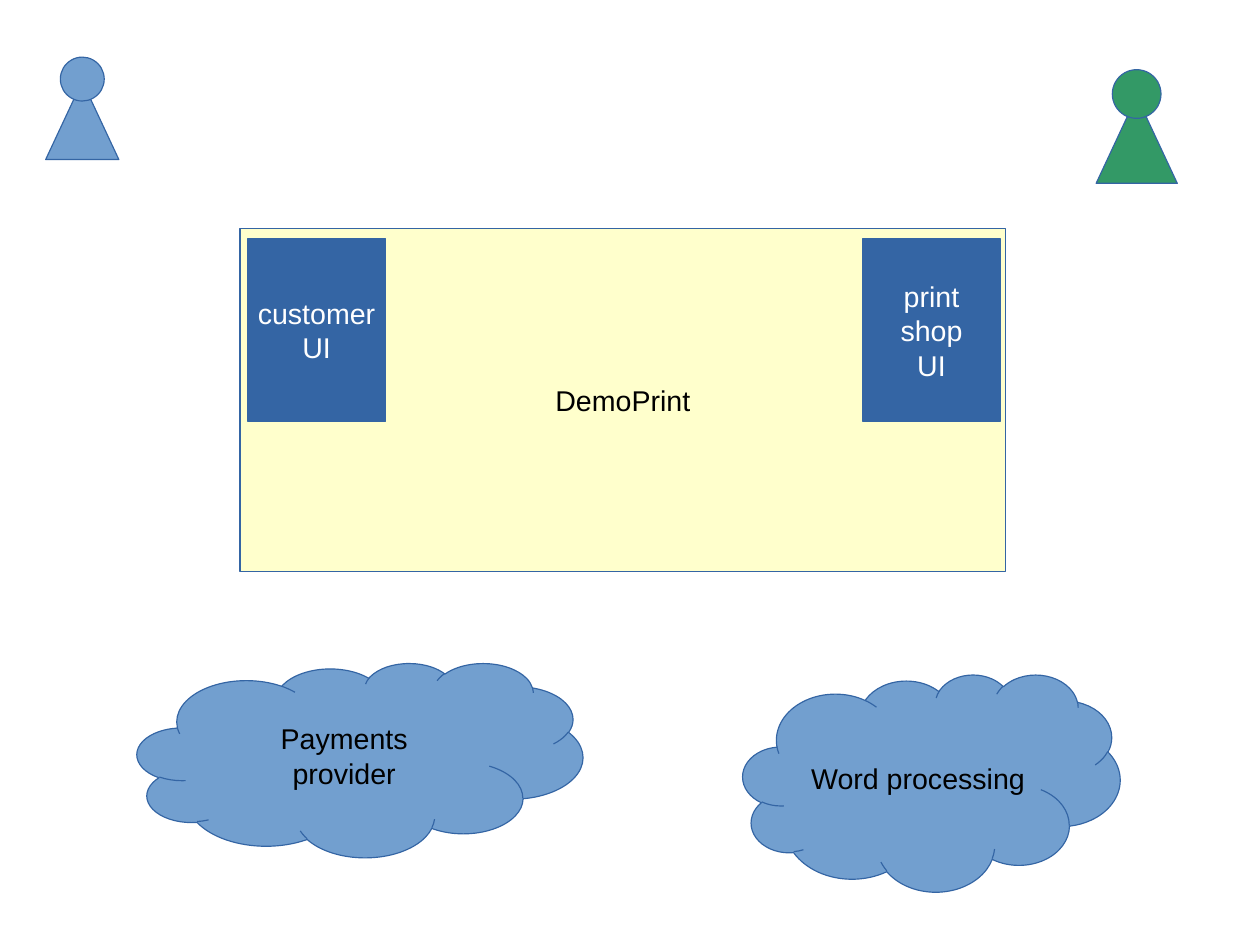
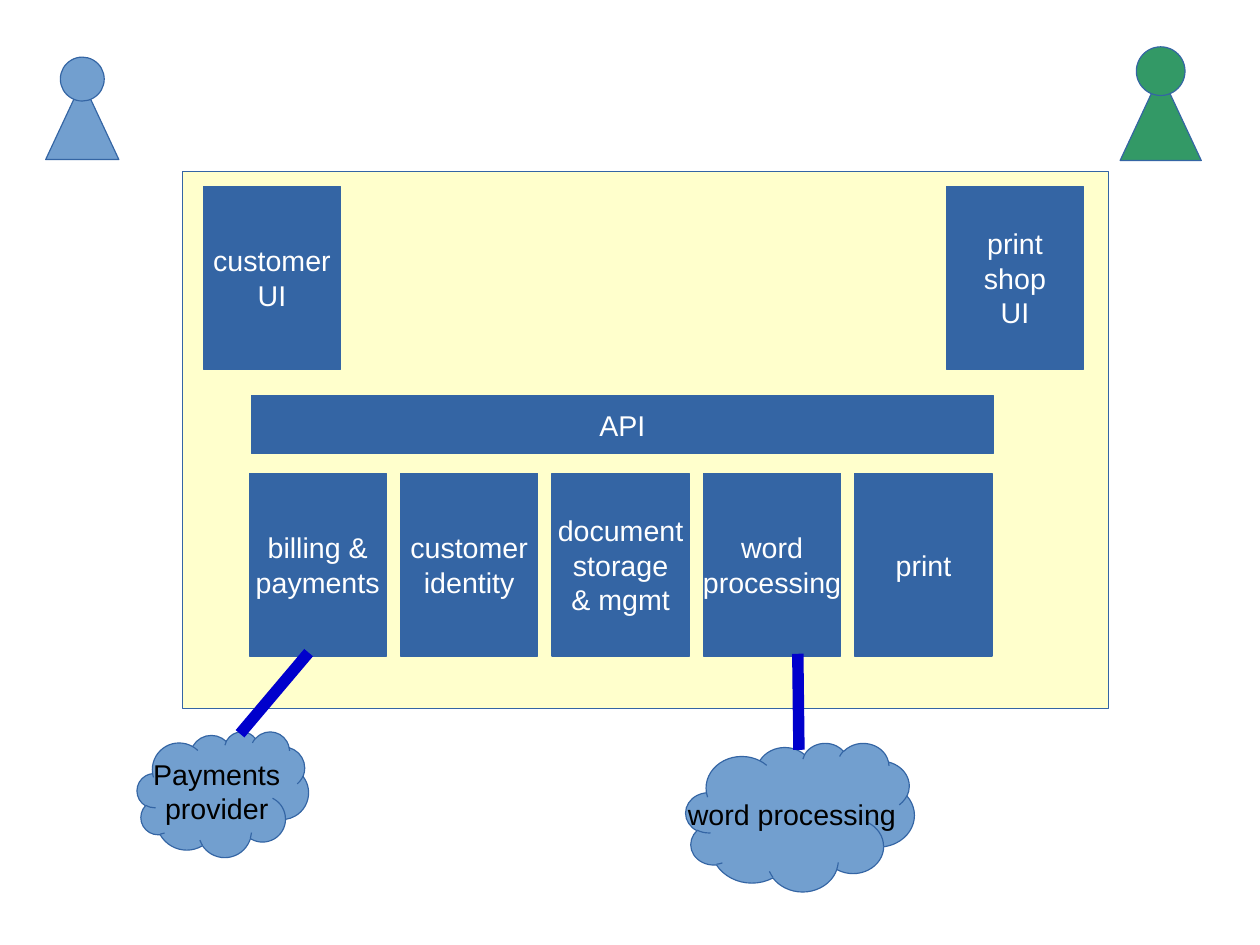
"""Build two system context slides: the outer view and the inner components."""
import lxml.etree
import pptx
import pptx.dml.color
import pptx.enum.shapes
import pptx.enum.text
import pptx.oxml.ns
import pptx.util

RGBColor = pptx.dml.color.RGBColor
SHAPES = pptx.enum.shapes.MSO_SHAPE

BLACK = RGBColor(0x00, 0x00, 0x00)
WHITE = RGBColor(0xFF, 0xFF, 0xFF)
SKY = RGBColor(0x72, 0x9F, 0xCF)
BLUE = RGBColor(0x34, 0x65, 0xA4)
LINK_BLUE = RGBColor(0x00, 0x00, 0xCC)
GREEN = RGBColor(0x33, 0x99, 0x66)
CREAM = RGBColor(0xFF, 0xFF, 0xCC)

CELL = 0.1
BOX_WIDTH, BOX_HEIGHT = 12, 16
SERVICE_STEP = 13.25
SERVICES = (
    "billing &\npayments",
    "customer\nidentity",
    "document\nstorage\n& mgmt",
    "word\nprocessing",
    "print",
)

FRAME_FORMAT = {
    "word_wrap": False,
    "vertical_anchor": pptx.enum.text.MSO_ANCHOR.MIDDLE,
}
FONT_FORMAT = {"name": "Arial", "size": pptx.util.Pt(18)}


def cells(count):
    """Return the length of a number of grid cells."""
    return pptx.util.Inches(count * CELL)


def apply_format(target, values):
    """Set each named attribute on the target."""
    for name, value in values.items():
        setattr(target, name, value)


def add_figure(shapes, kind, area, fill, text="", text_color=BLACK):
    """Add a filled preset shape with a thin outline and centred text."""
    shape = shapes.add_shape(kind, *map(cells, area))
    shape.shadow.inherit = False
    shape.fill.solid()
    shape.fill.fore_color.rgb = fill
    shape.line.color.rgb = BLUE
    shape.line.width = pptx.util.Pt(0)
    if text:
        shape.text_frame.text = text
        apply_format(shape.text_frame, FRAME_FORMAT)
        for paragraph in shape.text_frame.paragraphs:
            paragraph.alignment = pptx.enum.text.PP_ALIGN.CENTER
            for run in paragraph.runs:
                apply_format(run.font, FONT_FORMAT)
                run.font.color.rgb = text_color


def add_component(slide, left, top, text, width=BOX_WIDTH, height=BOX_HEIGHT):
    """Add a blue component box with white text."""
    area = (left, top, width, height)
    add_figure(slide.shapes, SHAPES.RECTANGLE, area, BLUE, text, WHITE)


def add_system(slide, area, text=""):
    """Add the cream area that encloses the system."""
    add_figure(slide.shapes, SHAPES.RECTANGLE, area, CREAM, text)


def add_cloud(slide, area, text):
    """Add a cloud that stands for an outside service."""
    add_figure(slide.shapes, SHAPES.CLOUD, area, SKY, text)


def add_person(slide, left, top, width, fill):
    """Add a grouped pawn whose parts are shares of its width."""
    group = slide.shapes.add_group_shape()
    head = 0.6 * width
    body = (left, top + 0.33 * width, width, 1.07 * width)
    add_figure(group.shapes, SHAPES.ISOSCELES_TRIANGLE, body, fill)
    face = (left + (width - head) / 2, top, head, head)
    add_figure(group.shapes, SHAPES.OVAL, face, fill)


def add_link(slide, start, end):
    """Add a thick straight line between two grid points."""
    connector = slide.shapes.add_connector(
        pptx.enum.shapes.MSO_CONNECTOR.STRAIGHT, *map(cells, start + end)
    )
    connector.line.color.rgb = LINK_BLUE
    connector.line.width = pptx.util.Pt(7.2)
    lxml.etree.SubElement(
        connector._element.spPr, pptx.oxml.ns.qn("a:effectLst")
    )


def add_interfaces(slide, customer_left, shop_left, top):
    """Add the two user interface boxes on one row."""
    add_component(slide, customer_left, top, "customer\nUI")
    add_component(slide, shop_left, top, "print\nshop\nUI")


def add_slide(presentation, shop_left, shop_top):
    """Add a blank slide with the customer and the print shop person."""
    slide = presentation.slides.add_slide(presentation.slide_layouts[6])
    add_person(slide, 4, 5, 6.4, SKY)
    add_person(slide, shop_left, shop_top, 7.1, GREEN)
    return slide


def build_context(presentation):
    """Build the slide that shows the system among outside services."""
    slide = add_slide(presentation, 95.9, 6.1)
    add_system(slide, (21, 20, 67, 30), "DemoPrint")
    add_cloud(slide, (12, 58, 39, 17), "Payments\nprovider")
    add_cloud(slide, (65, 59, 33, 19), "Word processing")
    add_interfaces(slide, 21.7, 75.5, 20.9)


def build_components(presentation):
    """Build the slide that shows the components inside the system."""
    slide = add_slide(presentation, 98, 4.1)
    add_system(slide, (16, 15, 81, 47))
    add_cloud(slide, (12, 64, 15, 11), "Payments\nprovider")
    add_cloud(slide, (60, 65, 20, 13), "word processing")
    add_interfaces(slide, 17.8, 82.8, 16.3)
    add_component(slide, 22, 34.6, "API", width=64.9, height=5.1)
    for index, service in enumerate(SERVICES):
        add_component(slide, 21.8 + index * SERVICE_STEP, 41.4, service)
    add_link(slide, (27, 57.1), (21, 64.2))
    add_link(slide, (69.8, 57.2), (69.9, 65.6))


def main():
    """Build and save the presentation."""
    presentation = pptx.Presentation()
    presentation.slide_width = pptx.util.Cm(28)
    presentation.slide_height = pptx.util.Cm(21)
    presentation.element.sldSz.attrib.pop("type", None)
    build_context(presentation)
    build_components(presentation)
    presentation.save("out.pptx")


if __name__ == "__main__":
    main()
